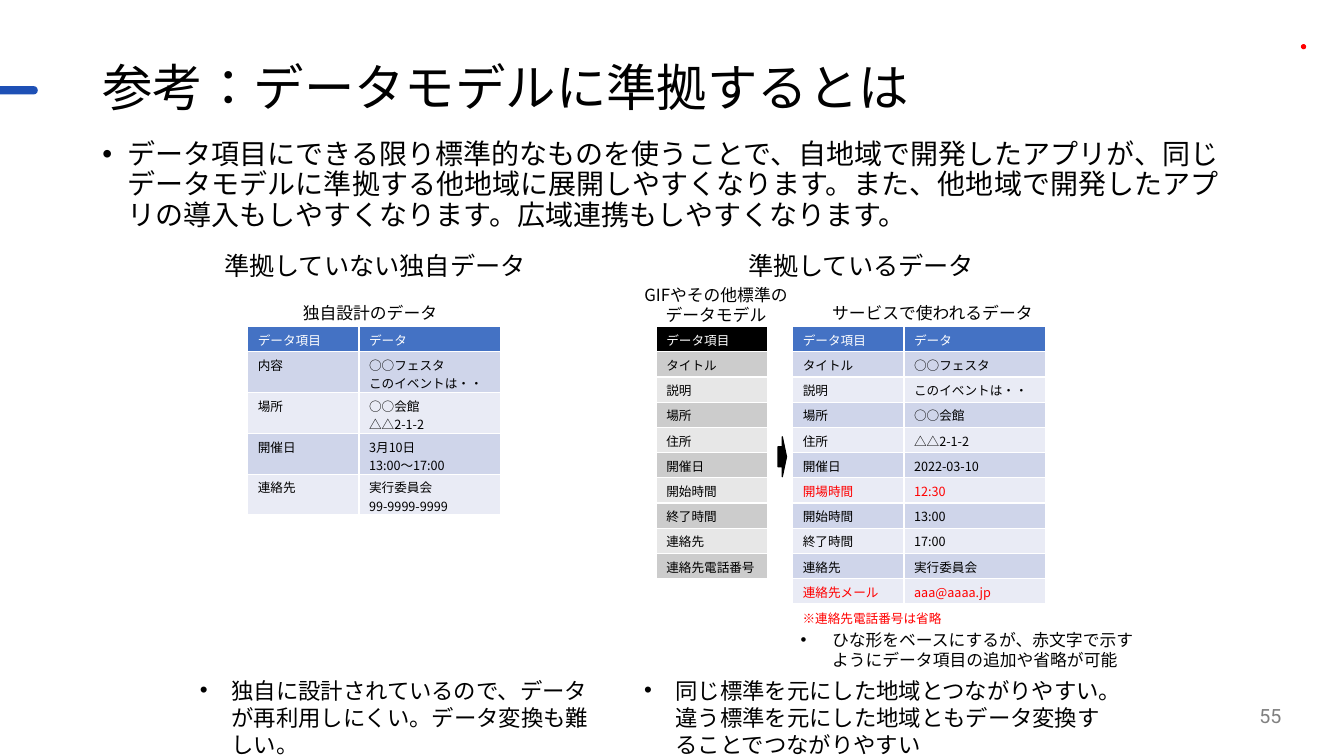
from dataclasses import dataclass

from lxml.etree import SubElement
from pptx import Presentation
from pptx.dml.color import RGBColor
from pptx.enum.lang import MSO_LANGUAGE_ID as Language
from pptx.enum.shapes import MSO_SHAPE as Shape
from pptx.enum.text import MSO_ANCHOR as Anchor, MSO_AUTO_SIZE as AutoSize, PP_ALIGN as Align
from pptx.oxml import parse_xml
from pptx.oxml.ns import nsdecls, qn
from pptx.util import Pt

PX = 9525
SANS = "Noto Sans CJK JP"
ROBOTO = "Roboto"
COLORS = {
    "black": "000000", "white": "FFFFFF", "red": "FF0000", "gray": "808080",
    "accent": "1E50B5", "header": "4472C4", "band1": "CFD5EA", "band2": "E9EBF5",
    "gray1": "CCCCCC", "gray2": "E7E7E7",
}
HEADER_HEIGHT = 24
COLUMN_WIDTHS = (106, 135)
TABLE_TOP = 311


@dataclass
class Label:
    box: tuple[int, int, int, int]
    text: str
    size: int
    color: str = "black"
    font: str = SANS
    align: Align = Align.LEFT
    anchor: Anchor = Anchor.TOP
    wrap: bool = False
    hanging: int = 0
    spacing: float = 1.0


@dataclass
class DataTable:
    left: int
    row_height: int
    header: str
    bands: tuple[str, str]
    rows: list[tuple[str, ...]]
    red_items: tuple[str, ...] = ()


TITLE = Label((88, 55, 1104, 62), "参考：データモデルに準拠するとは", 36, font=ROBOTO,
              anchor=Anchor.MIDDLE, wrap=True, spacing=0.9)
BODY = Label((88, 129, 1104, 506),
             "データ項目にできる限り標準的なものを使うことで、自地域で開発したアプリが、"
             "同じデータモデルに準拠する他地域に展開しやすくなります。また、他地域で開発した"
             "アプリの導入もしやすくなります。広域連携もしやすくなります。",
             20, wrap=True, hanging=24, spacing=0.9)
LABELS = [
    Label((942, 663, 288, 38), "55", 14, "gray", ROBOTO, Align.RIGHT, Anchor.MIDDLE, True),
    Label((703, 234, 237, 38), "準拠しているデータ", 18),
    Label((204, 234, 310, 38), "準拠していない独自データ", 18),
    Label((603, 266, 158, 48), "GIFやその他標準の\nデータモデル", 12, align=Align.CENTER),
    Label((783, 284, 213, 29), "サービスで使われるデータ", 12),
    Label((279, 284, 149, 29), "独自設計のデータ", 12),
    Label((755, 577, 241, 24), "※連絡先電話番号は省略", 9, "red", wrap=True),
    Label((181, 640, 394, 87),
          "独自に設計されているので、データが再利用しにくい。データ変換も難しい。",
          16, wrap=True, hanging=30),
    Label((753, 595, 339, 48),
          "ひな形をベースにするが、赤文字で示すようにデータ項目の追加や省略が可能",
          12, wrap=True, hanging=30),
    Label((604, 640, 460, 87),
          "同じ標準を元にした地域とつながりやすい。"
          "違う標準を元にした地域ともデータ変換することでつながりやすい",
          16, wrap=True, hanging=30),
]
TABLES = [
    DataTable(625, 24, "black", ("gray1", "gray2"), [
        (item,) for item in ("データ項目", "タイトル", "説明", "場所", "住所", "開催日",
                             "開始時間", "終了時間", "連絡先", "連絡先電話番号")]),
    DataTable(236, 38, "header", ("band1", "band2"), [
        ("データ項目", "データ"),
        ("内容", "○○フェスタ\nこのイベントは・・"),
        ("場所", "○○会館\n△△2-1-2"),
        ("開催日", "3月10日\n13:00～17:00"),
        ("連絡先", "実行委員会\n99-9999-9999")]),
    DataTable(755, 24, "header", ("band1", "band2"), [
        ("データ項目", "データ"),
        ("タイトル", "○○フェスタ"),
        ("説明", "このイベントは・・"),
        ("場所", "○○会館"),
        ("住所", "△△2-1-2"),
        ("開催日", "2022-03-10"),
        ("開場時間", "12:30"),
        ("開始時間", "13:00"),
        ("終了時間", "17:00"),
        ("連絡先", "実行委員会"),
        ("連絡先メール", "aaa@aaaa.jp")], ("開場時間", "連絡先メール")),
]


def rgb(name: str) -> RGBColor:
    return RGBColor.from_string(COLORS[name])


def emu(box: tuple[int, ...]) -> list[int]:
    return [v * PX for v in box]


def style_run(r, size: int, color: str, font: str = SANS) -> None:
    r.font.size = Pt(size)
    r.font.bold = False
    r.font.language_id = Language.JAPANESE
    r.font.color.rgb = rgb(color)
    r.font.name = font
    SubElement(r.font._element, qn("a:ea")).set("typeface", SANS)


def add_bullet(p, hanging: int) -> None:
    pPr = p._p.get_or_add_pPr()
    pPr.set("marL", str(hanging * PX))
    pPr.set("indent", str(-hanging * PX))
    SubElement(pPr, qn("a:buFont")).set("typeface", "Arial")
    SubElement(pPr, qn("a:buChar")).set("char", "•")


def fill_label(sp, label: Label) -> None:
    sp.left, sp.top, sp.width, sp.height = emu(label.box)
    tf = sp.text_frame
    tf.text = label.text
    tf.word_wrap = label.wrap
    tf.auto_size = AutoSize.NONE
    tf.vertical_anchor = label.anchor
    for p in tf.paragraphs:
        if label.hanging:
            add_bullet(p, label.hanging)
        p.alignment = label.align
        p.line_spacing = label.spacing
        p.space_before = Pt(0)
        for r in p.runs:
            style_run(r, label.size, label.color, label.font)


def add_solid(slide, kind: Shape, box: tuple[int, ...], color: str):
    sp = slide.shapes.add_shape(kind, *emu(box))
    sp.shadow.inherit = False
    sp.fill.solid()
    sp.fill.fore_color.rgb = rgb(color)
    sp.line.fill.background()
    return sp


def add_borders(cell) -> None:
    tcPr = cell._tc.get_or_add_tcPr()
    for i, tag in enumerate(("lnL", "lnR", "lnT", "lnB")):
        tcPr.insert(i, parse_xml(
            f'<a:{tag} {nsdecls("a")} w="{Pt(1)}"><a:solidFill>'
            f'<a:srgbClr val="{COLORS["white"]}"/></a:solidFill></a:{tag}>'))


def add_data_table(slide, data: DataTable) -> None:
    cols = COLUMN_WIDTHS[:len(data.rows[0])]
    heights = [HEADER_HEIGHT] + [data.row_height] * (len(data.rows) - 1)
    box = (data.left, TABLE_TOP, sum(cols), sum(heights))
    table = slide.shapes.add_table(len(heights), len(cols), *emu(box)).table
    for column, width in zip(table.columns, cols):
        column.width = width * PX
    for i, (values, height) in enumerate(zip(data.rows, heights)):
        table.rows[i].height = height * PX
        fill = data.bands[(i - 1) % 2] if i else data.header
        color = "white" if i == 0 else "red" if values[0] in data.red_items else "black"
        for j, value in enumerate(values):
            cell = table.cell(i, j)
            cell.text = value
            cell.margin_top, cell.margin_bottom = 4 * PX, 0
            cell.fill.solid()
            cell.fill.fore_color.rgb = rgb(fill)
            add_borders(cell)
            for p in cell.text_frame.paragraphs:
                for r in p.runs:
                    style_run(r, 9, color)


def main() -> None:
    prs = Presentation()
    prs.slide_width, prs.slide_height = 1280 * PX, 720 * PX
    slide = prs.slides.add_slide(prs.slide_layouts[1])
    fill_label(slide.shapes.title, TITLE)
    fill_label(slide.placeholders[1], BODY)
    accent = add_solid(slide, Shape.ROUNDED_RECTANGLE, (-10, 82, 46, 8), "accent")
    accent.adjustments[0] = 0.5
    add_solid(slide, Shape.OVAL, (1239, 42, 5, 5), "red")
    for label in LABELS:
        fill_label(slide.shapes.add_textbox(*emu(label.box)), label)
    for data in TABLES:
        add_data_table(slide, data)
    arrow = add_solid(slide, Shape.RIGHT_ARROW, (741, 416, 8, 38), "black")
    arrow.line.color.rgb = rgb("black")
    arrow.line.width = Pt(1)
    prs.save("out.pptx")


if __name__ == "__main__":
    main()
